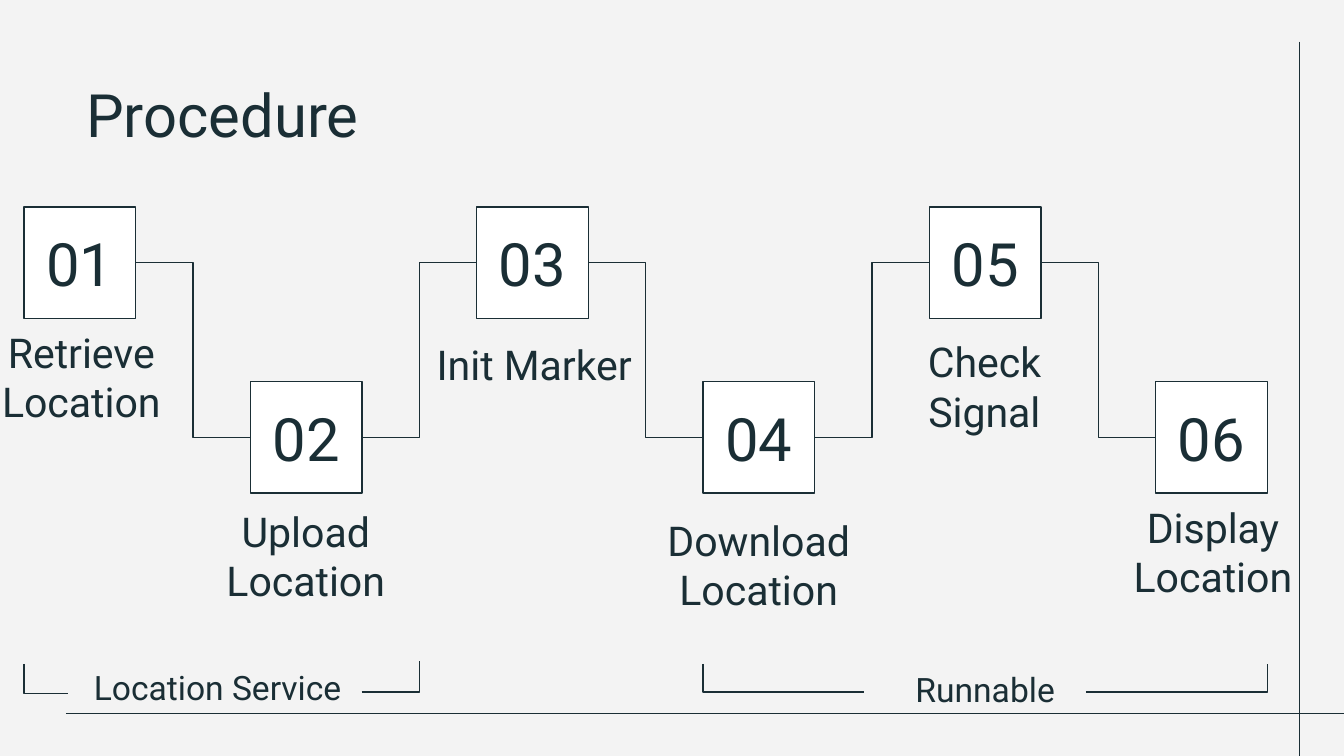
from dataclasses import dataclass

from pptx import Presentation
from pptx import util as u
from pptx.dml.color import RGBColor
from pptx.enum import shapes, text
from pptx.oxml.ns import qn
from lxml import etree


@dataclass(frozen=True)
class Theme:
    ink: RGBColor = RGBColor(0x1A, 0x2E, 0x35)
    paper: RGBColor = RGBColor(0xF3, 0xF3, 0xF3)
    tile: RGBColor = RGBColor(0xFF, 0xFF, 0xFF)
    font: str = "Roboto"
    heading: int = 32
    caption: int = 22
    phase: int = 18
    line: float = 0.75


@dataclass(frozen=True)
class Step:
    caption: str
    caption_left: float
    caption_top: float


@dataclass(frozen=True)
class Phase:
    name: str
    left: float
    top: float
    width: float


@dataclass(frozen=True)
class Bracket:
    outer: float
    inner: float
    top: float
    bottom: float


THEME = Theme()
WIDTH = 10
HEIGHT = WIDTH * 9 / 16

# Grid: steps sit in six columns and alternate between two rows
FIRST_COLUMN, LAST_COLUMN = 0.18, 8.6
ROWS = (1.54, 2.84)
TILE = 0.83
CAPTION_WIDTH, CAPTION_HEIGHT = 1.69, 0.44

STEPS = (
    Step("Retrieve Location", -0.24, 2.83),
    Step("Upload\nLocation", 1.43, 4.16),
    Step("Init Marker", 3.13, 2.55),
    Step("Download\nLocation", 4.8, 4.23),
    Step("Check\nSignal", 6.48, 2.9),
    Step("Display Location", 8.18, 4.13),
)
COLUMN_PITCH = (LAST_COLUMN - FIRST_COLUMN) / (len(STEPS) - 1)
PHASES = (
    Phase("Location Service", -0.03, 4.92, 3.3),
    Phase("Runnable", 4.92, 4.94, 4.82),
)
BRACKETS = (
    Bracket(0.18, 0.51, 4.94, 5.16),
    Bracket(3.12, 2.69, 4.92, 5.15),
    Bracket(5.23, 6.43, 4.94, 5.15),
    Bracket(9.43, 8.08, 4.94, 5.15),
)


def column_left(column: int) -> float:
    return FIRST_COLUMN + column * COLUMN_PITCH


def row_top(column: int) -> float:
    return ROWS[column % 2]


def write(shape, words: str, size: int, anchor, align) -> None:
    frame = shape.text_frame
    frame.text = words
    frame.word_wrap = True
    frame.auto_size = text.MSO_AUTO_SIZE.NONE
    frame.vertical_anchor = anchor
    frame.margin_left = frame.margin_right = u.Inches(0.1)
    frame.margin_top = frame.margin_bottom = u.Inches(0.1)
    for para in frame.paragraphs:
        para.alignment = align
        for span in para.runs:
            span.font.name = THEME.font
            span.font.size = u.Pt(size)
            span.font.color.rgb = THEME.ink


def add_label(page, words: str, left: float, top: float, width: float, size: int) -> None:
    box = page.shapes.add_textbox(
        u.Inches(left), u.Inches(top), u.Inches(width), u.Inches(CAPTION_HEIGHT))
    write(box, words, size, text.MSO_ANCHOR.BOTTOM, text.PP_ALIGN.CENTER)


def add_line(page, kind, start: tuple[float, float], end: tuple[float, float]):
    line = page.shapes.add_connector(kind, *(u.Inches(value) for value in start + end))
    line.line.color.rgb = THEME.ink
    line.line.width = u.Pt(THEME.line)
    etree.SubElement(line._element.spPr, qn("a:effectLst"))
    return line


def add_elbow(page, start: tuple[float, float], end: tuple[float, float],
              bend: float = 0.5) -> None:
    """Draw an elbow that turns at the given share of its width."""
    elbow = add_line(page, shapes.MSO_CONNECTOR.ELBOW, start, end)
    geometry = elbow._element.spPr.find(qn("a:prstGeom"))
    guides = geometry.find(qn("a:avLst"))
    if guides is None:
        guides = etree.SubElement(geometry, qn("a:avLst"))
    etree.SubElement(guides, qn("a:gd"), name="adj1", fmla=f"val {round(bend * 100000)}")


def add_step(page, column: int, step: Step) -> None:
    tile = page.shapes.add_shape(
        shapes.MSO_SHAPE.RECTANGLE, u.Inches(column_left(column)),
        u.Inches(row_top(column)), u.Inches(TILE), u.Inches(TILE))
    tile.shadow.inherit = False
    tile.fill.solid()
    tile.fill.fore_color.rgb = THEME.tile
    tile.line.color.rgb = THEME.ink
    tile.line.width = u.Pt(THEME.line)
    write(tile, f"{column + 1:02}", THEME.heading,
          text.MSO_ANCHOR.MIDDLE, text.PP_ALIGN.CENTER)
    add_label(page, step.caption, step.caption_left, step.caption_top,
              CAPTION_WIDTH, THEME.caption)


def add_bracket(page, bracket: Bracket) -> None:
    outer_end = (bracket.outer, bracket.top)
    inner_end = (bracket.inner, bracket.bottom)
    if bracket.outer < bracket.inner:
        add_elbow(page, outer_end, inner_end, bend=0)
    else:
        add_elbow(page, inner_end, outer_end, bend=1)


def main() -> None:
    deck = Presentation()
    deck.slide_width, deck.slide_height = u.Inches(WIDTH), u.Inches(HEIGHT)
    page = deck.slides.add_slide(deck.slide_layouts[5])
    page.background.fill.solid()
    page.background.fill.fore_color.rgb = THEME.paper

    # Frame lines
    straight = shapes.MSO_CONNECTOR.STRAIGHT
    add_line(page, straight, (0.49, 5.31), (WIDTH, 5.31))
    add_line(page, straight, (9.67, 0.31), (9.67, HEIGHT))

    # Title
    title = page.shapes.title
    title.left, title.top = u.Inches(0.54), u.Inches(0.48)
    title.width, title.height = u.Inches(8.43), u.Inches(0.63)
    write(title, "Procedure", THEME.heading, text.MSO_ANCHOR.TOP, text.PP_ALIGN.LEFT)

    # Steps and the links between them
    for column, step in enumerate(STEPS):
        add_step(page, column, step)
    for column in range(len(STEPS) - 1):
        add_elbow(page,
                  (column_left(column) + TILE, row_top(column) + TILE / 2),
                  (column_left(column + 1), row_top(column + 1) + TILE / 2))

    # Phases under the steps
    for phase in PHASES:
        add_label(page, phase.name, phase.left, phase.top, phase.width, THEME.phase)
    for bracket in BRACKETS:
        add_bracket(page, bracket)

    deck.save("out.pptx")


if __name__ == "__main__":
    main()
